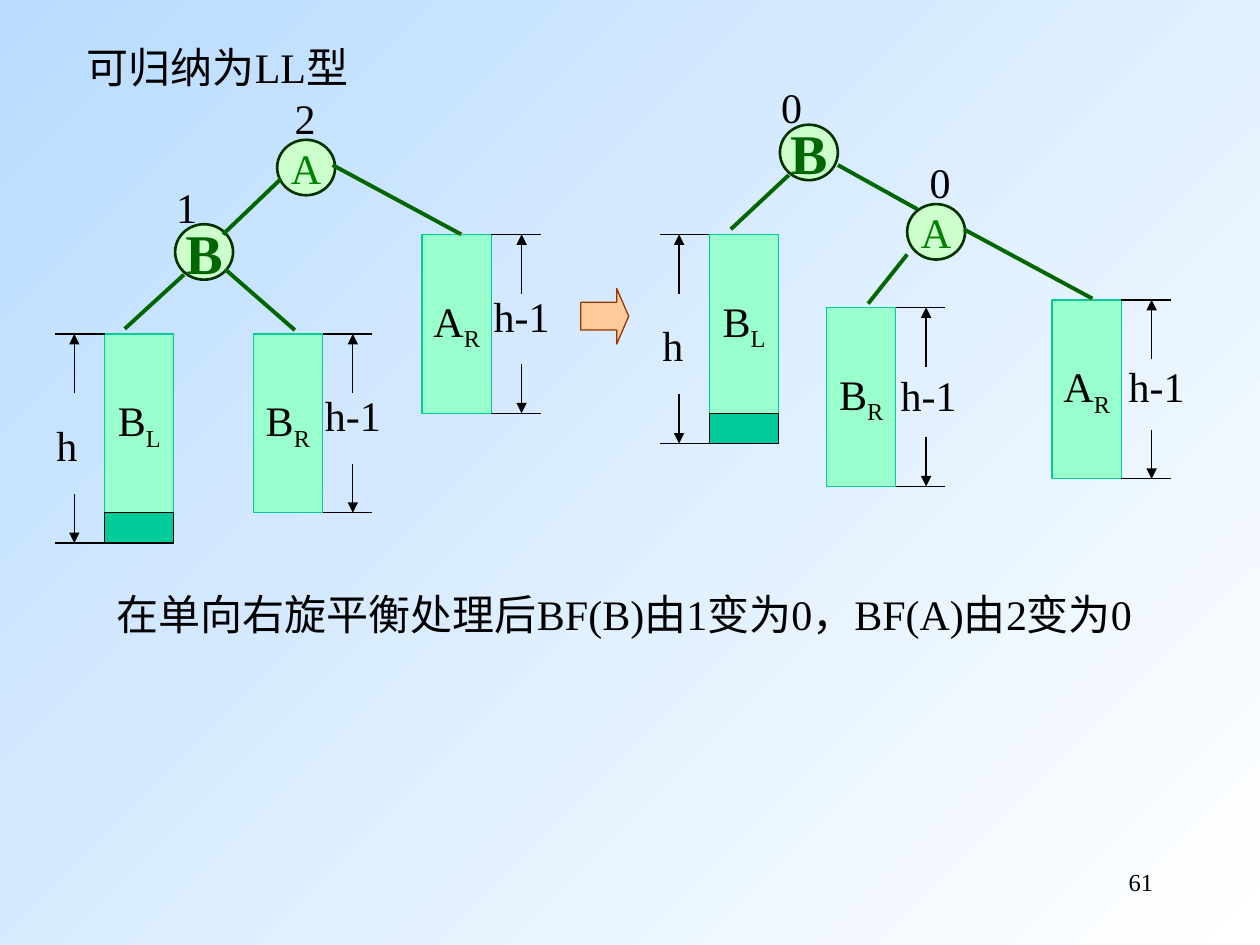
from dataclasses import dataclass

from lxml import etree
from pptx import Presentation
from pptx import util as u
from pptx.dml.color import RGBColor
from pptx.enum import shapes, text
from pptx.oxml.ns import qn


@dataclass(frozen=True)
class Theme:
    font: str = "Times New Roman"
    body: int = 24
    strong: int = 32
    small: int = 14
    ink: str = "000000"
    sky: str = "B9DCFF"
    white: str = "FFFFFF"
    node: str = "CCFFCC"
    node_line: str = "003300"
    node_a: str = "008000"
    edge: str = "006600"
    bar: str = "99FFCC"
    accent: str = "00CC99"
    arrow: str = "FFCC99"
    arrow_line: str = "993300"
    thin: float = 0.75
    medium: float = 1.5
    thick: float = 2.25


THEME = Theme()
CELL = 0.1  # grid of 100 columns by 75 rows
COLUMNS, ROWS = 100, 75
NODE_WIDTH, NODE_HEIGHT = 4.6, 4.4
BAR_WIDTH, BAR_HEIGHT, EXTRA_HEIGHT = 5.5, 14.2, 2.4
TICK, GAUGE = 3.9, 2.4


def cells(*counts):
    return [u.Inches(count * CELL) for count in counts]


def color(code):
    return RGBColor.from_string(code)


def add_run(paragraph, words, size=THEME.body, ink=THEME.ink, bold=False, subscript=False):
    run = paragraph.add_run()
    run.text = words
    run.font.name = THEME.font
    run.font.size = u.Pt(size)
    run.font.bold = bold
    run.font.color.rgb = color(ink)
    if subscript:
        run.font._element.set("baseline", "-25000")


def add_text(slide, box, words, size=THEME.body, align=text.PP_ALIGN.LEFT, before=15):
    frame = slide.shapes.add_textbox(*cells(*box)).text_frame
    frame.word_wrap = True
    paragraph = frame.paragraphs[0]
    paragraph.alignment = align
    paragraph.space_before = u.Pt(before)
    add_run(paragraph, words, size)


def add_block(slide, kind, box, fill, line, width=THEME.thin):
    shape = slide.shapes.add_shape(kind, *cells(*box))
    shape.shadow.inherit = False
    shape.fill.solid()
    shape.fill.fore_color.rgb = color(fill)
    shape.line.color.rgb = color(line)
    shape.line.width = u.Pt(width)
    return shape


def centered_paragraph(shape):
    frame = shape.text_frame
    frame.word_wrap = False
    frame.vertical_anchor = text.MSO_ANCHOR.MIDDLE
    paragraph = frame.paragraphs[0]
    paragraph.alignment = text.PP_ALIGN.CENTER
    return paragraph


def add_line(slide, points, ink=THEME.ink, width=THEME.thin, arrow=False):
    connector = slide.shapes.add_connector(shapes.MSO_CONNECTOR.STRAIGHT, *cells(*points))
    connector.line.color.rgb = color(ink)
    connector.line.width = u.Pt(width)
    if arrow:
        etree.SubElement(connector.line._get_or_add_ln(), qn("a:tailEnd"), type="triangle")
    etree.SubElement(connector._element.spPr, qn("a:effectLst"))


def add_node(slide, left, top, name, balance, shift):
    """Circle with its balance factor above; shift moves that number sideways."""
    shape = add_block(slide, shapes.MSO_SHAPE.OVAL, (left, top, NODE_WIDTH, NODE_HEIGHT),
                      THEME.node, THEME.node_line, THEME.medium)
    strong = name == "B"
    add_run(centered_paragraph(shape), name, THEME.strong if strong else THEME.body,
            THEME.edge if strong else THEME.node_a, bold=strong)
    rise = 3.9 if strong else 4.25
    add_text(slide, (left + shift, top - rise, 3.9, 5), balance)


def add_dimension(slide, edge, top, height, side, label, label_shift):
    """Height gauge beside a bar; side is 1 for right and -1 for left."""
    bottom, gauge = top + height, edge + side * GAUGE
    for level in (top, bottom):
        add_line(slide, (edge, level, edge + side * TICK, level))
    add_line(slide, (gauge, top + 4.7, gauge, top), arrow=True)
    add_line(slide, (gauge, bottom - 3.9, gauge, bottom), arrow=True)
    across, down = label_shift
    add_text(slide, (edge + across, top + down, 9.4, 5), label)


def add_subtree(slide, left, top, name, branch, label_shift):
    """Bar for a subtree; the BL bar has an added level and a gauge on its left."""
    shape = add_block(slide, shapes.MSO_SHAPE.RECTANGLE, (left, top, BAR_WIDTH, BAR_HEIGHT),
                      THEME.bar, THEME.accent)
    paragraph = centered_paragraph(shape)
    add_run(paragraph, name)
    add_run(paragraph, branch, subscript=True)
    if branch == "L":
        add_block(slide, shapes.MSO_SHAPE.RECTANGLE,
                  (left, top + BAR_HEIGHT, BAR_WIDTH, EXTRA_HEIGHT), THEME.accent, THEME.ink)
        add_dimension(slide, left, top, BAR_HEIGHT + EXTRA_HEIGHT, -1, "h", label_shift)
    else:
        add_dimension(slide, left + BAR_WIDTH, top, BAR_HEIGHT, 1, "h-1", label_shift)


def add_tree(slide, origin, nodes, subtrees, edges):
    """Tree whose parts are placed from the top left corner of its box."""
    left, top = origin
    for across, down, *details in nodes:
        add_node(slide, left + across, top + down, *details)
    for across, down, *details in subtrees:
        add_subtree(slide, left + across, top + down, *details)
    for x1, y1, x2, y2 in edges:
        add_line(slide, (left + x1, top + y1, left + x2, top + y2), THEME.edge, THEME.thick)


def add_background(slide):
    fill = slide.background.fill
    fill.gradient()
    fill.gradient_angle = 315
    for stop, code, position in zip(fill.gradient_stops, (THEME.sky, THEME.white), (0, 1)):
        stop.color.rgb = color(code)
        stop.position = position


def main():
    presentation = Presentation()
    presentation.slide_width, presentation.slide_height = cells(COLUMNS, ROWS)
    slide = presentation.slides.add_slide(presentation.slide_layouts[6])
    add_background(slide)

    # Heading
    add_text(slide, (5.9, 2.8, 29.9, 5), "可归纳为LL型")

    # Tree before the rotation
    add_tree(
        slide, (3.5, 6.8),
        nodes=[(18.5, 4.3, "A", "2", 0.4), (10.4, 11, "B", "1", -0.9)],
        subtrees=[(4.8, 19.7, "B", "L", (-4.8, 6.3)),
                  (16.6, 19.7, "B", "R", (-0.8, 3.9)),
                  (30, 11.8, "A", "R", (-0.8, 4))],
        edges=[(18.8, 7.4, 14.2, 11.8), (11.1, 15, 6.4, 19.3),
               (19.9, 19.4, 14.4, 14.6), (33.1, 11.8, 22.9, 6.3)])

    # Rotation arrow
    arrow = add_block(slide, shapes.MSO_SHAPE.RIGHT_ARROW, (46.1, 22.9, 3.8, 4.4),
                      THEME.arrow, THEME.arrow_line)
    arrow.adjustments[0], arrow.adjustments[1] = 0.5, 0.25

    # Tree after the rotation
    add_tree(
        slide, (51.6, 6),
        nodes=[(20.4, 10.2, "A", "0", 0.8), (10.3, 3.9, "B", "0", -0.9)],
        subtrees=[(4.7, 12.6, "B", "L", (-4.7, 6.3)),
                  (14, 18.4, "B", "R", (-0.6, 4.4)),
                  (31.9, 17.8, "A", "R", (-0.4, 4.3))],
        edges=[(21.2, 10.6, 14.9, 7.1), (11, 7.9, 6.4, 12.2),
               (17.3, 18.1, 20.4, 14.2), (35.1, 17.7, 24.9, 12.2)])

    # Conclusion and page number
    add_text(slide, (8.3, 46.2, 85.8, 9), "在单向右旋平衡处理后BF(B)由1变为0，BF(A)由2变为0")
    add_text(slide, (71.7, 68.3, 20.8, 5), "61", THEME.small, text.PP_ALIGN.RIGHT, before=0)

    presentation.save("out.pptx")


if __name__ == "__main__":
    main()
